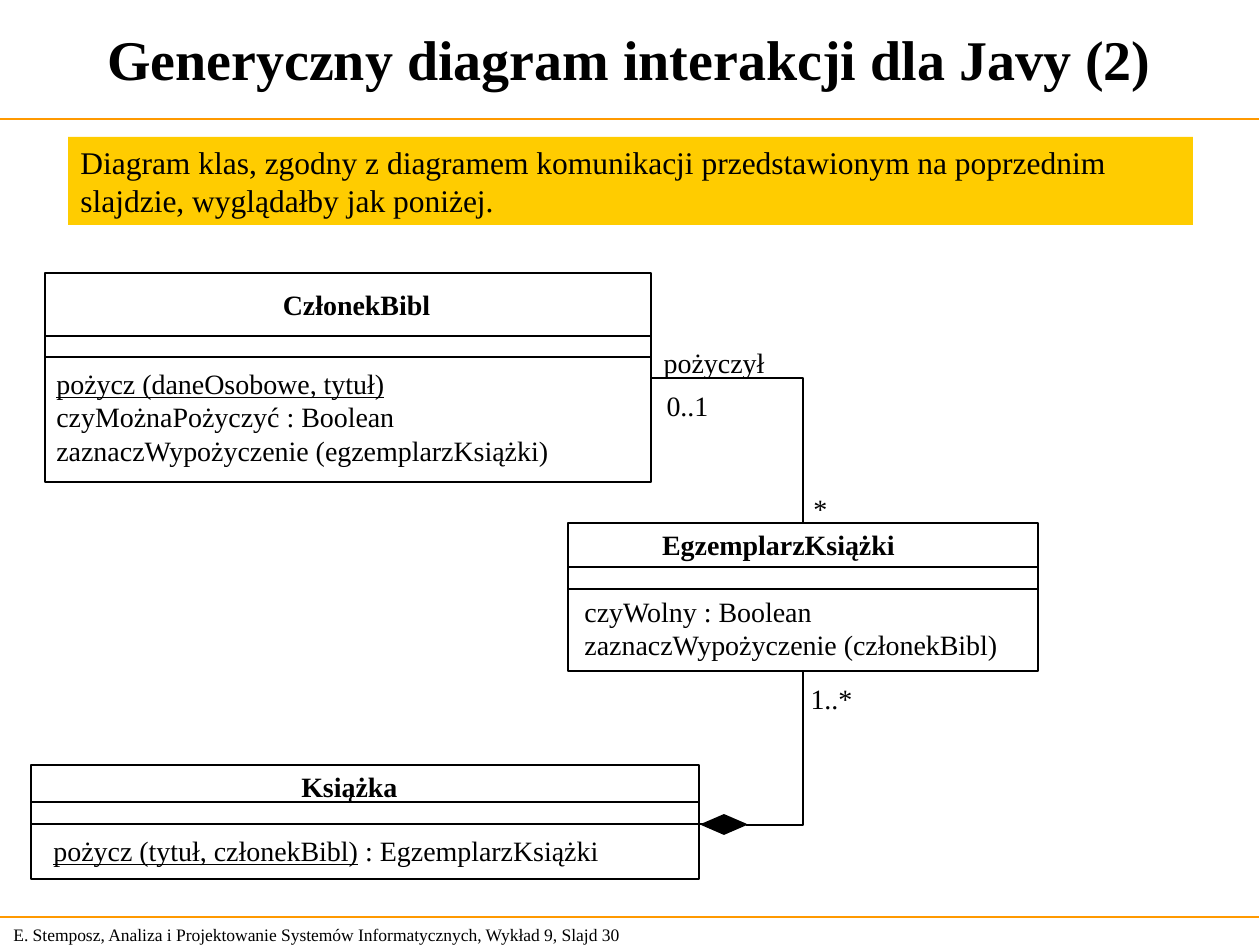
from lxml.etree import SubElement
from pptx import Presentation
from pptx.dml.color import RGBColor
from pptx.enum.shapes import MSO_CONNECTOR, MSO_SHAPE
from pptx.enum.text import MSO_ANCHOR, MSO_AUTO_SIZE, PP_ALIGN
from pptx.oxml.ns import qn
from pptx.util import Pt

PX = 914400 / 126
THEME = {
    "font": "Times New Roman",
    "ink": RGBColor.from_string("000000"),
    "rule": RGBColor.from_string("FF9900"),
    "note": RGBColor.from_string("FFCC00"),
    "title": 32, "lead": 18, "uml": 16, "footer": 10,
    "line": 1, "thin": 0.75,
}

TITLE = "Generyczny diagram interakcji dla Javy (2)"
TITLE_AREA = (0, 0, 1259, 116)
LEAD = ("Diagram klas, zgodny z diagramem komunikacji przedstawionym "
        "na poprzednim slajdzie, wyglądałby jak poniżej.")
LEAD_AREA = (68, 137, 1125, 88)
FOOTER = ("E. Stemposz, Analiza i Projektowanie Systemów Informatycznych, "
          "Wykład 9, Slajd 30")
FOOTER_AREA = (1, 917, 660, 34)
RULES = (119, 917)

# A divider is (y, how far it runs past the right edge).
# An operation is (underlined part, plain part).
CLASSES = [
    {"name": "CzłonekBibl", "frame": (45, 273, 606, 209),
     "dividers": [(336, 0), (357, 0)],
     "name_area": (266, 281, 181, 47), "body_area": (44, 360, 519, 113),
     "operations": [("pożycz (daneOsobowe, tytuł)", ""),
                    ("", "czyMożnaPożyczyć : Boolean"),
                    ("", "zaznaczWypożyczenie (egzemplarzKsiążki)")]},
    {"name": "Książka", "frame": (31, 765, 668, 114),
     "dividers": [(802, 0), (824, 4)],
     "name_area": (285, 763, 129, 47), "body_area": (41, 827, 572, 47),
     "operations": [("pożycz (tytuł, członekBibl)", " : EgzemplarzKsiążki")]},
    {"name": "EgzemplarzKsiążki", "frame": (568, 523, 470, 148),
     "dividers": [(567, 0), (589, 0)],
     "name_area": (638, 521, 281, 47), "body_area": (572, 588, 446, 81),
     "operations": [("", "czyWolny : Boolean"),
                    ("", "zaznaczWypożyczenie (członekBibl)")]},
]
ASSOCIATIONS = [(651, 378, 803, 523), (746, 825, 803, 671)]
AGGREGATION_DIAMOND = (702, 815, 44, 19)
LABELS = [
    ("pożyczył", (649, 339, 130, 47)),
    ("*", (801, 485, 39, 47)),
    ("0..1", (652, 382, 71, 47)),
    ("1..*", (796, 675, 71, 47)),
]


def emu(lengths):
    return [round(length * PX) for length in lengths]


def set_all(target, **values):
    for attribute, value in values.items():
        setattr(target, attribute, value)


def write(frame, lines, size, align=PP_ALIGN.LEFT, bold=False):
    """Fill a text frame; each line is an (underlined part, plain part) pair."""
    for index, parts in enumerate(lines):
        paragraph = frame.paragraphs[0] if index == 0 else frame.add_paragraph()
        paragraph.alignment = align
        for part, underline in zip(parts, (True, False)):
            if part:
                run = paragraph.add_run()
                run.text = part
                set_all(run.font, name=THEME["font"], size=Pt(size),
                        bold=bold, underline=underline)
                run.font.color.rgb = THEME["ink"]


def add_text(shapes, area, lines, size, **style):
    frame = shapes.add_textbox(*emu(area)).text_frame
    set_all(frame, word_wrap=False, auto_size=MSO_AUTO_SIZE.SHAPE_TO_FIT_TEXT)
    write(frame, lines, size, **style)
    return frame


def add_line(shapes, ends, color=THEME["ink"], width=THEME["line"], bent=False):
    kind = MSO_CONNECTOR.ELBOW if bent else MSO_CONNECTOR.STRAIGHT
    line = shapes.add_connector(kind, *emu(ends))
    set_all(line.line, width=Pt(width))
    line.line.fill.solid()
    line.line.color.rgb = color
    properties = line._element.spPr
    SubElement(properties, qn("a:effectLst"))
    if bent:  # one corner instead of the usual two
        properties.find(qn("a:prstGeom")).set("prst", "bentConnector2")


def add_block(shapes, kind, area, fill=None, outlined=True):
    block = shapes.add_shape(kind, *emu(area))
    block.shadow.inherit = False
    if fill is None:
        block.fill.background()
    else:
        block.fill.solid()
        block.fill.fore_color.rgb = fill
    if outlined:
        block.line.color.rgb = THEME["ink"]
        block.line.width = Pt(THEME["line"])
    else:
        block.line.fill.background()
    return block


def add_class(slide, uml):
    shapes = slide.shapes.add_group_shape().shapes
    left, _, width, _ = uml["frame"]
    add_block(shapes, MSO_SHAPE.RECTANGLE, uml["frame"])
    for y, overhang in uml["dividers"]:
        add_line(shapes, (left, y, left + width + overhang, y))
    add_text(shapes, uml["name_area"], [("", uml["name"])], THEME["uml"],
             align=PP_ALIGN.CENTER, bold=True)
    add_text(shapes, uml["body_area"], uml["operations"], THEME["uml"])


def main():
    deck = Presentation()
    deck.slide_width, deck.slide_height = emu((1260, 945))
    slide = deck.slides.add_slide(deck.slide_layouts[5])
    shapes = slide.shapes

    title = shapes.title
    set_all(title, **dict(zip(("left", "top", "width", "height"), emu(TITLE_AREA))))
    set_all(title.text_frame, word_wrap=True, auto_size=MSO_AUTO_SIZE.NONE,
            vertical_anchor=MSO_ANCHOR.MIDDLE)
    write(title.text_frame, [("", TITLE)], THEME["title"],
          align=PP_ALIGN.CENTER, bold=True)

    footer = add_text(shapes, FOOTER_AREA, [("", FOOTER)], THEME["footer"])
    footer.vertical_anchor = MSO_ANCHOR.MIDDLE
    for y in RULES:
        add_line(shapes, (0, y, 1259, y), THEME["rule"], THEME["thin"])

    for uml in CLASSES:
        add_class(slide, uml)
    for label, area in LABELS:
        add_text(shapes, area, [("", label)], THEME["uml"], align=PP_ALIGN.CENTER)
    for ends in ASSOCIATIONS:
        add_line(shapes, ends, bent=True)
    add_block(shapes, MSO_SHAPE.DIAMOND, AGGREGATION_DIAMOND, THEME["ink"])

    lead = add_block(shapes, MSO_SHAPE.RECTANGLE, LEAD_AREA, THEME["note"],
                     outlined=False).text_frame
    set_all(lead, word_wrap=True, vertical_anchor=MSO_ANCHOR.TOP)
    write(lead, [("", LEAD)], THEME["lead"])

    deck.save("out.pptx")


if __name__ == "__main__":
    main()
